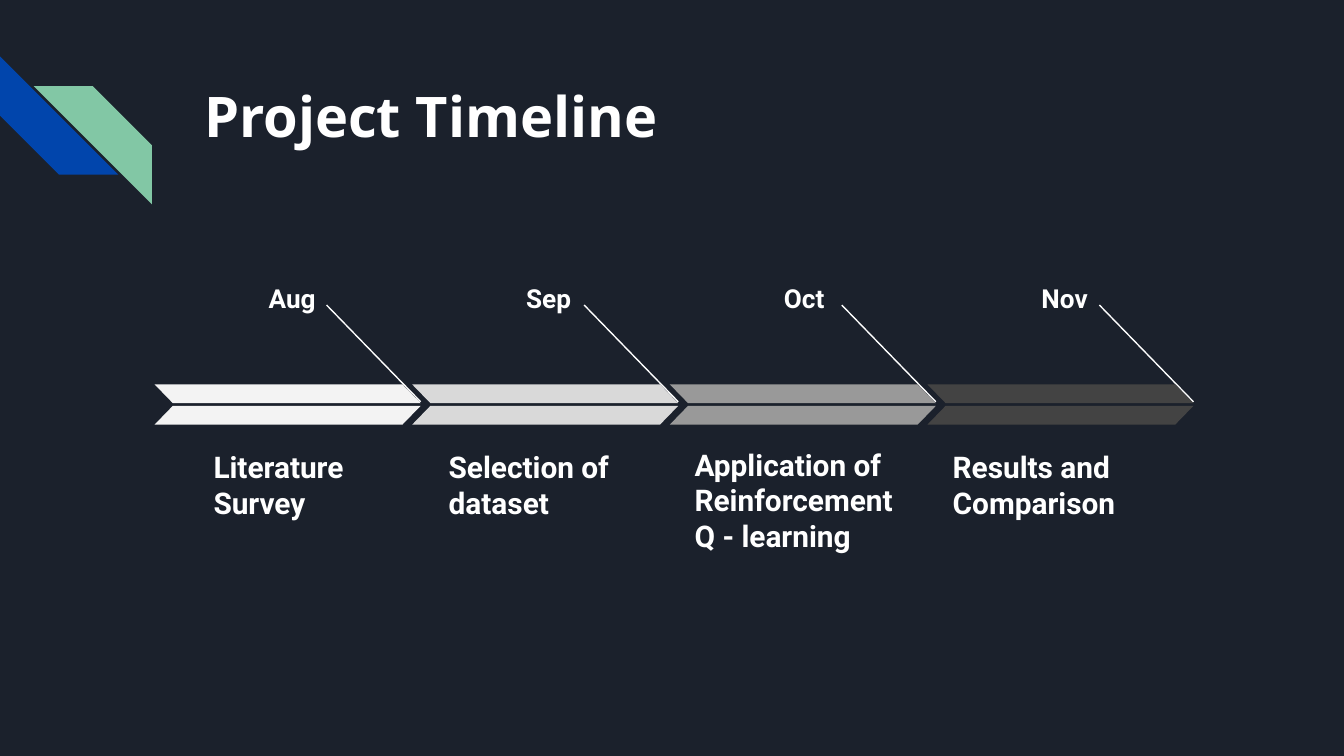
from dataclasses import dataclass

from lxml import etree
from pptx import Presentation
from pptx import util as u
from pptx.dml.color import RGBColor
from pptx.enum import shapes, text
from pptx.oxml.ns import qn

WIDTH, HEIGHT = 10, 5.625
PITCH = 5.75 / 3  # distance between milestone columns


@dataclass(frozen=True)
class Theme:
    background: str = "1B212C"
    white: str = "FFFFFF"
    blue: str = "0145AC"
    green: str = "82C7A5"
    heading_font: str = "Open Sans"
    body_font: str = "Roboto"
    title_size: int = 30
    month_size: int = 14
    caption_size: int = 16
    line_width: float = 0.75


THEME = Theme()

# Month, bar colour, caption, caption left, caption top
MILESTONES = [
    ("Aug", "F3F3F3", "Literature Survey", 1.49, 3.25),
    ("Sep", "D9D9D9", "Selection of dataset", 3.24, 3.25),
    ("Oct", "999999", "Application of Reinforcement Q - learning", 5.07, 3.5),
    ("Nov", "434343", "Results and Comparison", 6.99, 3.25),
]


def inches(*lengths):
    return [u.Inches(length) for length in lengths]


def add_text(s, content, box, *, size, font=THEME.body_font,
             color=THEME.white, anchor=text.MSO_ANCHOR.TOP):
    tf = s.shapes.add_textbox(*inches(*box)).text_frame
    tf.word_wrap = True
    tf.vertical_anchor = anchor
    tf.margin_left = tf.margin_right = u.Inches(0.1)
    tf.margin_top = tf.margin_bottom = u.Inches(0.1)
    r = tf.paragraphs[0].add_run()
    r.text = content
    r.font.name = font
    r.font.size = u.Pt(size)
    r.font.bold = True
    r.font.color.rgb = RGBColor.from_string(color)


def add_block(s, kind, box, color, *, adjust, rotation=0, flip=False):
    sp = s.shapes.add_shape(kind, *inches(*box))
    sp.shadow.inherit = False
    sp.adjustments[0] = adjust
    sp.rotation = rotation
    sp.fill.solid()
    sp.fill.fore_color.rgb = RGBColor.from_string(color)
    sp.line.fill.background()
    if flip:
        sp._element.spPr.find(qn("a:xfrm")).set("flipH", "1")


def add_line(s, start, end):
    line = s.shapes.add_connector(
        shapes.MSO_CONNECTOR.STRAIGHT, *inches(*start, *end))
    line.line.color.rgb = RGBColor.from_string(THEME.white)
    line.line.width = u.Pt(THEME.line_width)
    etree.SubElement(line._element.spPr, qn("a:effectLst"))


def add_corner_stripes(s):
    stripe = shapes.MSO_SHAPE.DIAGONAL_STRIPE
    add_block(s, stripe, (0, 0.42, 0.88, 0.88), THEME.blue,
              adjust=0.5, rotation=270)
    add_block(s, stripe, (0.25, 0.64, 0.88, 0.88), THEME.green,
              adjust=0.5, flip=True)


def add_milestone(s, column, month, color, caption, caption_x, caption_y):
    x = 1.15 + column * PITCH

    # Month and its pointer
    add_text(s, month, (x + 0.75, 2, 0.59, 0.23), size=THEME.month_size)
    add_line(s, (x + 1.28, 2.27), (x + 1.98, 2.99))

    # Arrow band made of two mirrored halves
    for y, flip in ((2.86, True), (3.02, False)):
        add_block(s, shapes.MSO_SHAPE.PARALLELOGRAM, (x, y, 1.98, 0.14),
                  color, adjust=0.97, flip=flip)

    # Caption below the band
    add_text(s, caption, (caption_x, caption_y, 1.85, 0.72),
             size=THEME.caption_size, anchor=text.MSO_ANCHOR.BOTTOM)


def main():
    prs = Presentation()
    prs.slide_width, prs.slide_height = inches(WIDTH, HEIGHT)
    s = prs.slides.add_slide(prs.slide_layouts[6])
    s.background.fill.solid()
    s.background.fill.fore_color.rgb = RGBColor.from_string(THEME.background)

    # Decoration and title
    add_corner_stripes(s)
    add_text(s, "Project Timeline", (1.42, 0.51, 7.7, 1),
             size=THEME.title_size, font=THEME.heading_font)

    # Timeline
    for column, milestone in enumerate(MILESTONES):
        add_milestone(s, column, *milestone)

    prs.save("out.pptx")


if __name__ == "__main__":
    main()
